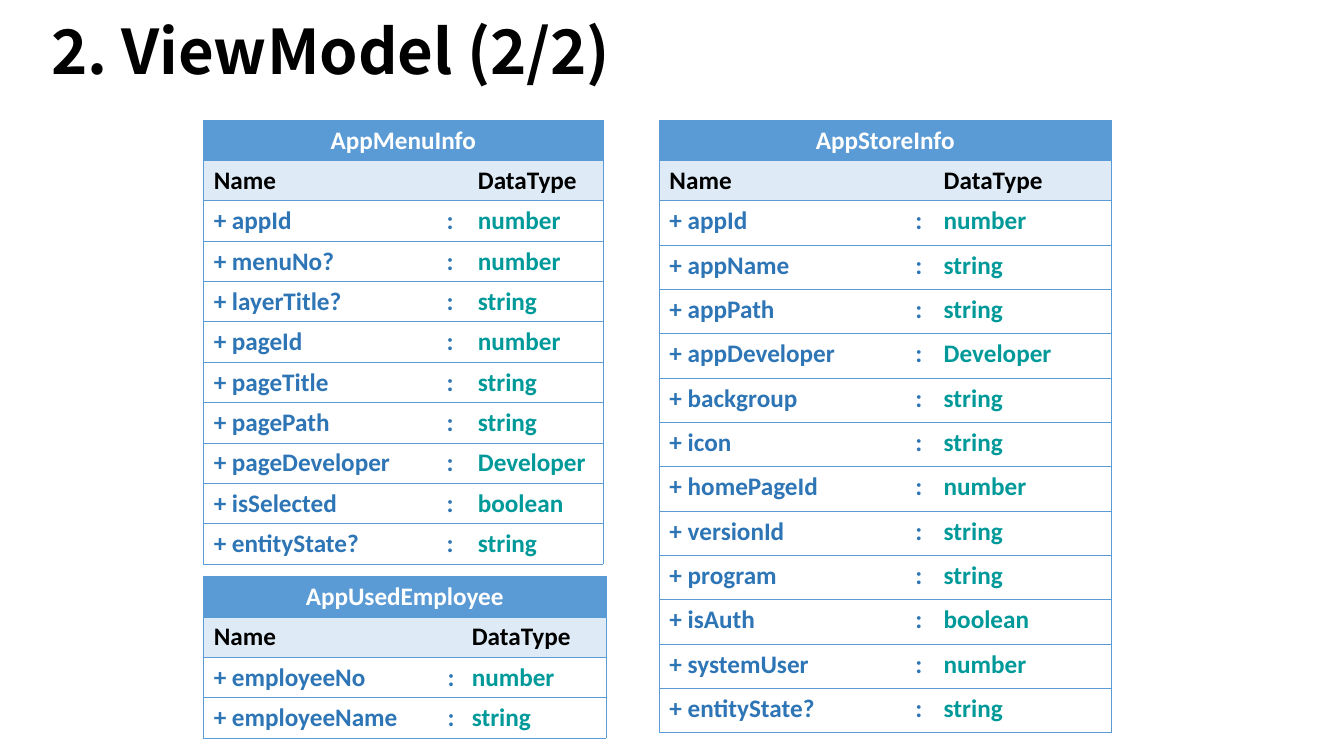
from dataclasses import dataclass

from lxml import etree
from pptx import Presentation
from pptx import util as u
from pptx.dml.color import RGBColor
from pptx.enum import text
from pptx.oxml.ns import qn

EMU_PER_PX = 9144  # 100 px to the inch
BLUE, PALE, NAME_BLUE, TYPE_GREEN = "5B9BD5", "DEEBF7", "2E75B6", "009999"
WHITE, BLACK = "FFFFFF", "000000"
HEAD_ROW = 40


@dataclass
class Model:
    title: str
    left: int
    top: int
    columns: tuple[int, int, int]
    field_row: int
    fields: dict[str, str]


MODELS = [
    Model("AppStoreInfo", 654, 119, (244, 28, 176), 44, {
        "appId": "number", "appName": "string", "appPath": "string",
        "appDeveloper": "Developer", "backgroup": "string", "icon": "string",
        "homePageId": "number", "versionId": "string", "program": "string",
        "isAuth": "boolean", "systemUser": "number", "entityState?": "string"}),
    Model("AppUsedEmployee", 202, 572, (232, 23, 143), 40, {
        "employeeNo": "number", "employeeName": "string"}),
    Model("AppMenuInfo", 202, 119, (231, 31, 134), 40, {
        "appId": "number", "menuNo?": "number", "layerTitle?": "string",
        "pageId": "number", "pageTitle": "string", "pagePath": "string",
        "pageDeveloper": "Developer", "isSelected": "boolean",
        "entityState?": "string"}),
]


def px(length: int) -> u.Emu:
    return u.Emu(length * EMU_PER_PX)


def rgb(value: str) -> RGBColor:
    return RGBColor.from_string(value)


def write(paragraph, words: str, color: str, size: int, font: str) -> None:
    paragraph.text = words
    for key, value in {"name": font, "size": u.Pt(size), "bold": True}.items():
        setattr(paragraph.font, key, value)
    paragraph.font.color.rgb = rgb(color)


def set_borders(cell, drawn: str) -> None:
    """Draw the sides listed in drawn and clear the others."""
    properties = cell._tc.get_or_add_tcPr()
    for side in "LRTB":
        line = etree.SubElement(properties, qn(f"a:ln{side}"), w=str(u.Pt(0.5)))
        if side in drawn:
            fill = etree.SubElement(line, qn("a:solidFill"))
            etree.SubElement(fill, qn("a:srgbClr"), val=BLUE)
        else:
            etree.SubElement(line, qn("a:noFill"))


def draw_model(slide, model: Model) -> None:
    # Each row: its words, their colours and the row fill
    rows = [((model.title, "", ""), (WHITE,) * 3, BLUE),
            (("Name", "", "DataType"), (BLACK,) * 3, PALE)]
    rows += [((f"+ {name}", ":", kind), (NAME_BLUE, NAME_BLUE, TYPE_GREEN), None)
             for name, kind in model.fields.items()]
    heights = [HEAD_ROW] * 2 + [model.field_row] * len(model.fields)

    table = slide.shapes.add_table(
        len(rows), 3, px(model.left), px(model.top),
        px(sum(model.columns)), px(sum(heights))).table
    table.first_row = table.horz_banding = False
    for column, width in zip(table.columns, model.columns):
        column.width = px(width)

    for r, (words, colors, fill) in enumerate(rows):
        table.rows[r].height = px(heights[r])
        for c, sides in enumerate(("LTB", "TB", "RTB")):
            cell = table.cell(r, c)
            set_borders(cell, "LRTB" if r == 0 else sides)
            if fill:
                cell.fill.solid()
                cell.fill.fore_color.rgb = rgb(fill)
            else:
                cell.fill.background()
            write(cell.text_frame.paragraphs[0], words[c], colors[c], 18, "Calibri")

    # Title row spans the whole table
    table.cell(0, 0).merge(table.cell(0, 2))
    table.cell(0, 0).text_frame.paragraphs[0].alignment = text.PP_ALIGN.CENTER


def draw_title(slide) -> None:
    frame = slide.shapes.add_textbox(px(41), px(-10), px(930), px(128)).text_frame
    frame.word_wrap = True
    frame.vertical_anchor = text.MSO_ANCHOR.MIDDLE
    heading = frame.paragraphs[0]
    write(heading, "2. ViewModel (2/2)", BLACK, 44, "Noto Sans CJK SC")
    heading.line_spacing = 0.9


def main() -> None:
    deck = Presentation()
    deck.slide_width, deck.slide_height = px(1333), px(750)
    slide = deck.slides.add_slide(deck.slide_layouts[6])
    draw_title(slide)
    for model in MODELS:
        draw_model(slide, model)
    deck.save("out.pptx")


if __name__ == "__main__":
    main()
